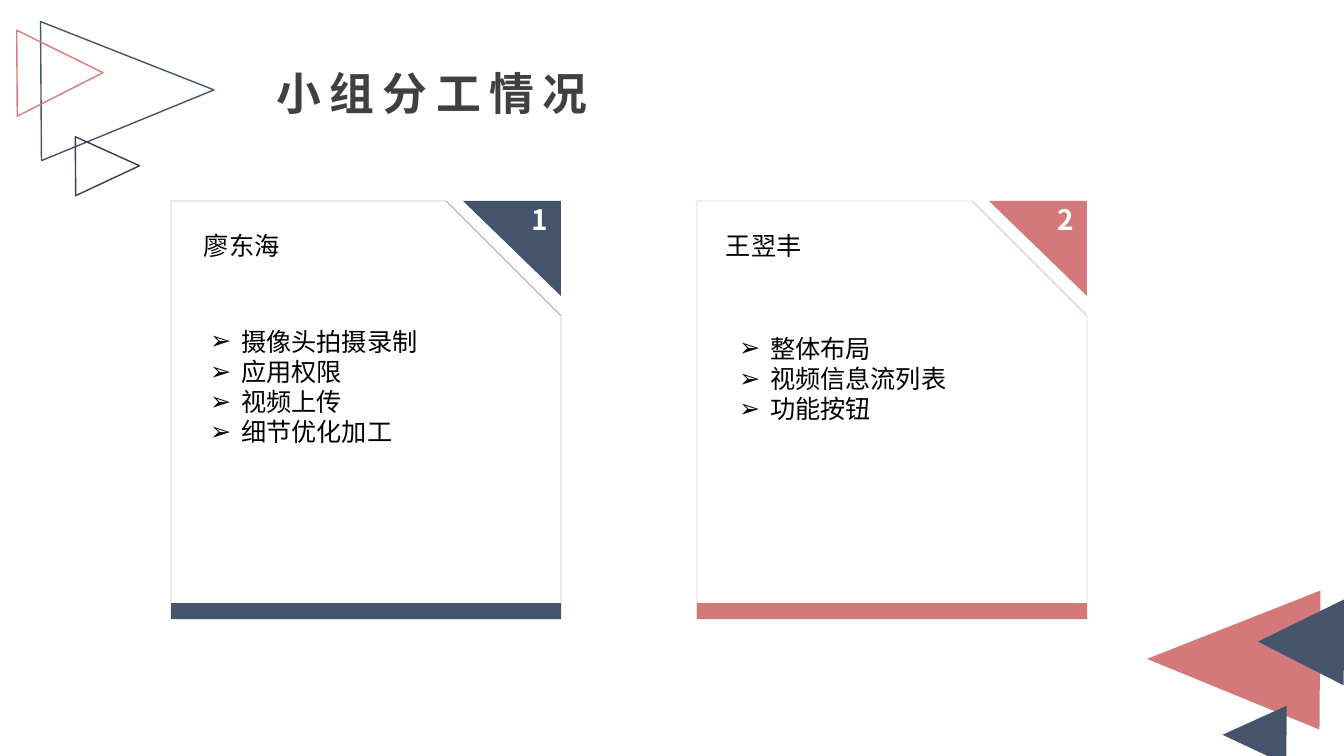
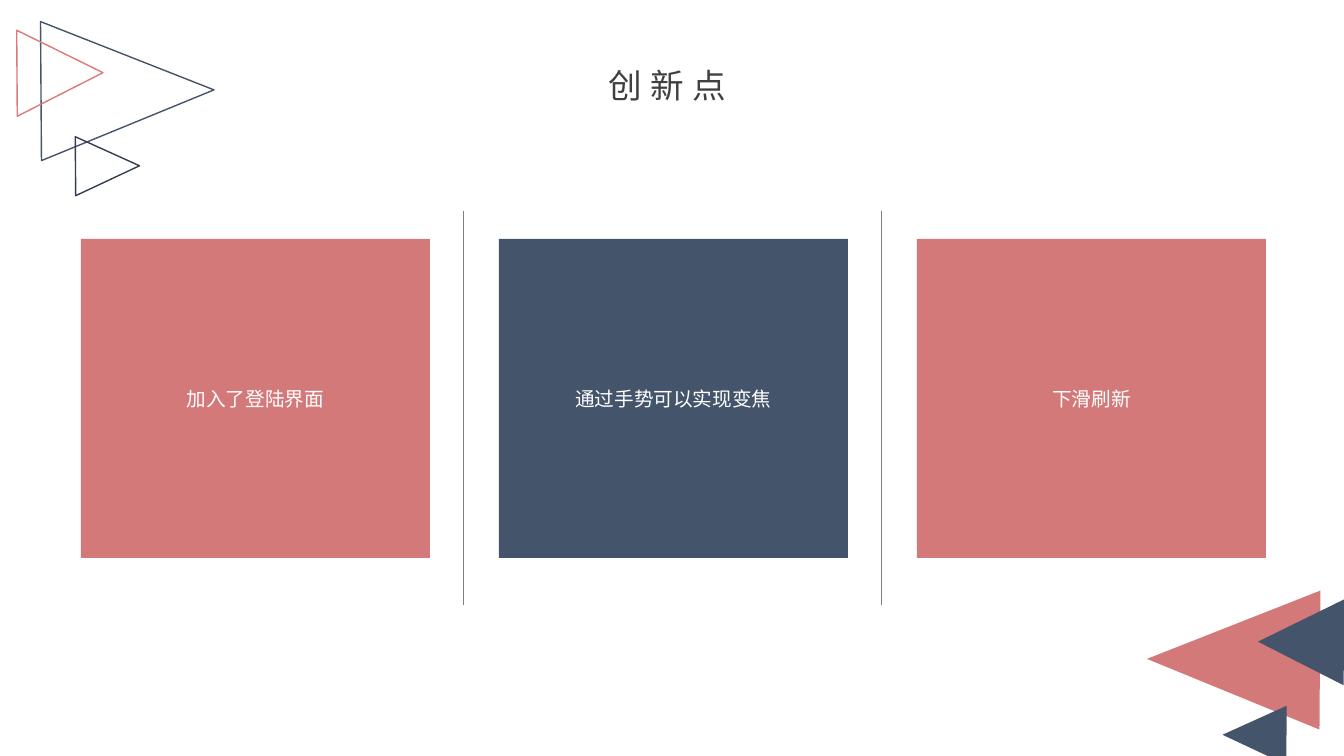
from lxml.etree import SubElement
from pptx import Presentation
from pptx.dml.color import RGBColor
from pptx.enum.shapes import MSO_CONNECTOR, MSO_SHAPE
from pptx.enum.text import MSO_ANCHOR, MSO_AUTO_SIZE, PP_ALIGN
from pptx.oxml.ns import qn
from pptx.util import Inches, Pt

PX = Inches(1) / 100.8
NAVY = RGBColor(0x44, 0x54, 0x6A)
DARK = RGBColor(0x33, 0x3F, 0x50)
ROSE = RGBColor(0xD3, 0x79, 0x79)
PINK = RGBColor(0xDD, 0x79, 0x79)
INK = RGBColor(0x40, 0x40, 0x40)
GREY = RGBColor(0x80, 0x80, 0x80)
BLACK = RGBColor(0, 0, 0)
WHITE = RGBColor(255, 255, 255)
SANS = "Noto Sans CJK SC"
GOTHIC = "Noto Sans CJK JP"

TITLE = {"color": INK, "align": PP_ALIGN.CENTER, "anchor": MSO_ANCHOR.MIDDLE,
         "inset": (0, 0, 0, 0), "track": 6}
BODY = {"size": 18, "font": GOTHIC, "color": BLACK, "lead": Pt(21.6)}
BADGE = {"size": 20, "bold": True, "color": WHITE, "align": PP_ALIGN.RIGHT,
         "inset": (13, 2, 13, 7)}
LABEL = {"size": 14, "color": WHITE, "align": PP_ALIGN.CENTER,
         "anchor": MSO_ANCHOR.MIDDLE}


def draw(shapes, kind, box, fill=None, line=None, width=1):
    shape = shapes.add_shape(kind, *[round(v * PX) for v in box])
    shape.shadow.inherit = False
    if fill is None:
        shape.fill.background()
    else:
        shape.fill.solid()
        shape.fill.fore_color.rgb = fill
    if line is None:
        shape.line.fill.background()
    else:
        shape.line.color.rgb = line
        shape.line.width = Pt(width)
    return shape


def write(shape, lines, look, box=(), bullet=None):
    """Fill a shape with styled lines, moving it to box if one is given."""
    for side, v in zip(("left", "top", "width", "height"), box):
        setattr(shape, side, round(v * PX))
    frame = shape.text_frame
    frame.word_wrap = True
    frame.auto_size = MSO_AUTO_SIZE.NONE
    frame.vertical_anchor = look.get("anchor", MSO_ANCHOR.TOP)
    sides = ("left", "top", "right", "bottom")
    for side, v in zip(sides, look.get("inset", (10, 5, 10, 5))):
        setattr(frame, f"margin_{side}", round(v * PX))
    for i, text in enumerate(lines):
        para = frame.add_paragraph() if i else frame.paragraphs[0]
        para.alignment = look.get("align", PP_ALIGN.LEFT)
        para.space_before = Pt(0)
        para.line_spacing = look.get("lead", 1.0)
        if bullet:
            props = para._p.get_or_add_pPr()
            props.set("marL", str(round(31 * PX)))
            props.set("indent", str(round(-31 * PX)))
            SubElement(props, qn("a:buChar")).set("char", bullet)
        run = para.add_run()
        run.text = text
        name = look.get("font", SANS)
        style = {"size": Pt(look["size"]), "bold": look.get("bold", False),
                 "name": name}
        run.font.color.rgb = look["color"]
        for key, value in style.items():
            setattr(run.font, key, value)
        props = run._r.get_or_add_rPr()
        SubElement(props, qn("a:ea")).set("typeface", name)
        if "track" in look:
            props.set("spc", str(look["track"] * 100))


deck = Presentation()
deck.slide_width = round(1344 * PX)
deck.slide_height = round(756 * PX)
team = deck.slides.add_slide(deck.slide_layouts[3])
ideas = deck.slides.add_slide(deck.slide_layouts[5])

# Corner triangles, shared through the slide master
master = deck.slide_master.shapes.element
for box, turn, fill, line in (
    ((1164, 573, 139, 173), 270.4, ROSE, None),
    ((1225, 703, 59, 64), 270.4, NAVY, None),
    ((1258, 599, 86, 86), 270.4, NAVY, None),
    ((58, 4, 139, 173), 89.6, None, NAVY),
    ((78, 134, 59, 64), 89.6, None, DARK),
    ((17, 30, 86, 86), 89.6, None, PINK),
):
    mark = draw(team.shapes, MSO_SHAPE.ISOSCELES_TRIANGLE, box, fill, line)
    mark.rotation = turn
    master.append(mark.element)

# Team slide
write(team.shapes.title, ["小组分工情况"],
      {**TITLE, "size": 32, "bold": True, "font": GOTHIC}, (226, 66, 412, 54))
people = (
    ("廖东海", NAVY, (194, 225, 127, 40), (200, 321, 312, 132),
     ("摄像头拍摄录制", "应用权限", "视频上传", "细节优化加工")),
    ("王翌丰", ROSE, (716, 225, 161, 40), (729, 328, 294, 163),
     ("整体布局", "视频信息流列表", "功能按钮")),
)
for i, (name, hue, spot, area, tasks) in enumerate(people):
    left, top, wide, high = 171 + 526 * i, 201, 390, 418
    right = left + wide
    card = draw(team.shapes, MSO_SHAPE.SNIP_1_RECTANGLE,
                (left, top, wide, high), WHITE, hue, 0.25)
    card.adjustments[0] = 0.294
    draw(team.shapes, MSO_SHAPE.RECTANGLE,
         (left, top + high - 16, wide, 16), hue)
    path = team.shapes.build_freeform(right, top, scale=PX)
    path.add_line_segments([(right - 98, top), (right, top + 95)])
    badge = path.convert_to_shape()
    badge.shadow.inherit = False
    badge.fill.solid()
    badge.fill.fore_color.rgb = hue
    badge.line.fill.background()
    write(badge, [str(i + 1)], BADGE)
    write(team.shapes.add_textbox(0, 0, 0, 0), [name], BODY, spot)
    body = team.placeholders[i + 1]
    write(body, tasks, BODY, area, "➢")
    team.shapes.element.append(body.element)  # bring in front of the card

# Ideas slide
write(ideas.shapes.title, ["创新点"], {**TITLE, "size": 24},
      (461, 65, 412, 40))
STEP = 418
for i in range(2):
    x = round((463 + STEP * i) * PX)
    rule = ideas.shapes.add_connector(
        MSO_CONNECTOR.STRAIGHT, x, round(211 * PX), x, round(605 * PX))
    rule.line.color.rgb = GREY
    rule.line.width = Pt(0.25)
    SubElement(rule.element.spPr, qn("a:effectLst"))
points = (("加入了登陆界面", ROSE), ("通过手势可以实现变焦", NAVY), ("下滑刷新", ROSE))
for i, (text, hue) in enumerate(points):
    tile = draw(ideas.shapes, MSO_SHAPE.RECTANGLE,
                (81 + STEP * i, 239, 349, 319), hue)
    write(tile, [text], LABEL)

deck.save("out.pptx")
